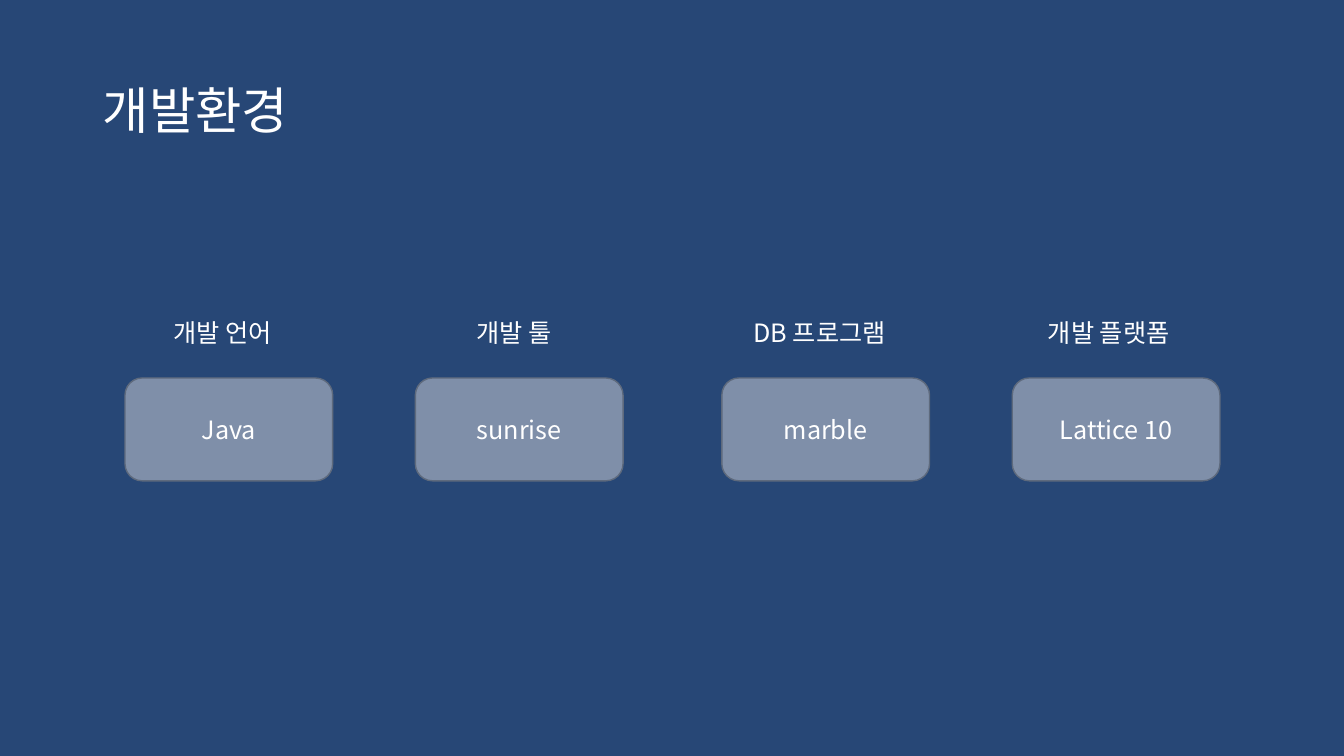
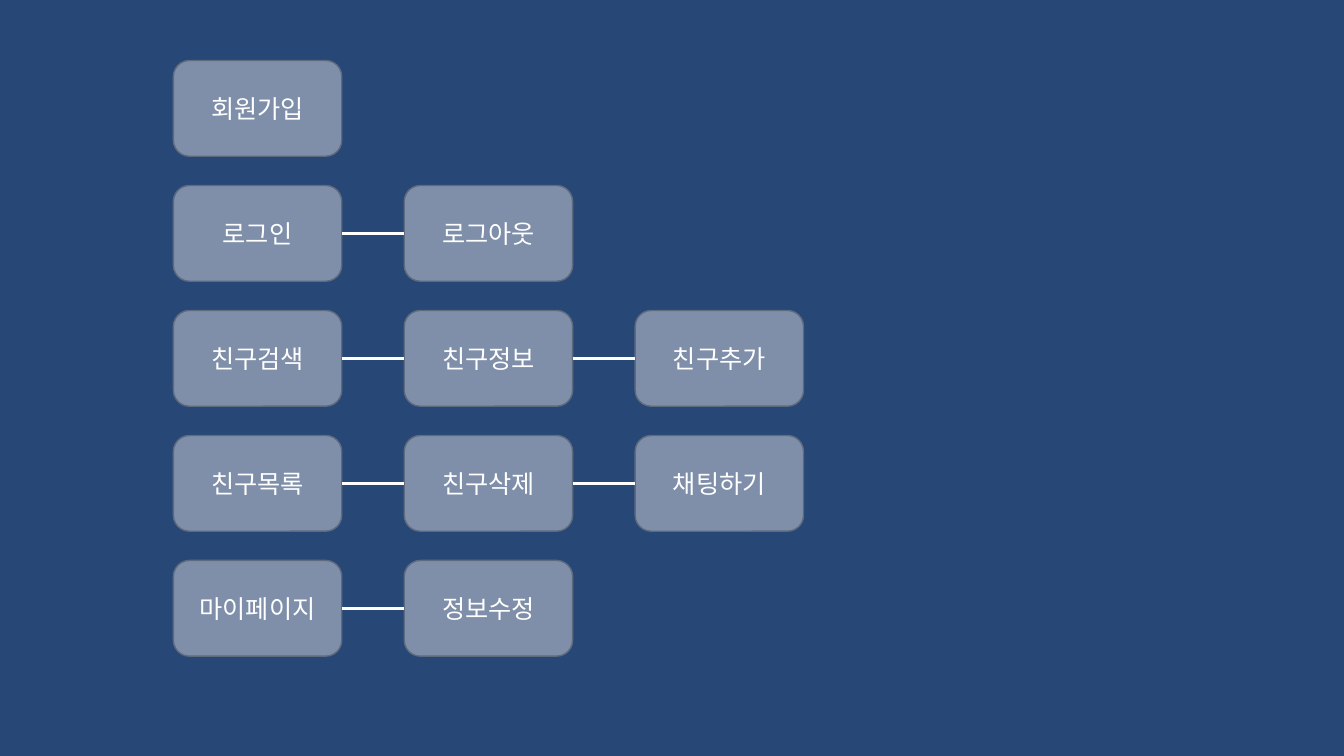
from dataclasses import dataclass

from lxml.etree import SubElement
from pptx import Presentation
from pptx.dml.color import RGBColor
from pptx.enum.shapes import MSO_CONNECTOR, MSO_SHAPE
from pptx.enum.text import MSO_ANCHOR, MSO_AUTO_SIZE, PP_ALIGN
from pptx.oxml.ns import qn
from pptx.util import Inches, Pt


@dataclass(frozen=True)
class Theme:
    background: RGBColor = RGBColor.from_string("274776")
    card: RGBColor = RGBColor.from_string("7F8FA9")
    card_edge: RGBColor = RGBColor.from_string("5E6A7D")
    ink: RGBColor = RGBColor.from_string("FFFFFF")
    font: str = "Noto Sans CJK KR"
    title_size: int = 36
    body_size: int = 18
    edge_width: float = 1
    link_width: float = 2.25


@dataclass(frozen=True)
class Box:
    left: float
    top: float
    width: float
    height: float

    def inches(self):
        return [Inches(n) for n in (self.left, self.top, self.width, self.height)]


THEME = Theme()
SLIDE_WIDTH, SLIDE_HEIGHT = 13.33, 7.5
TITLE_ONLY, BLANK = 5, 6
LEFT_SITE, RIGHT_SITE = 1, 3

TITLE_BOX = Box(0.92, 0.4, 11.5, 1.45)
ENVIRONMENT_BOX = Box(1.24, 3.1, 10.86, 1.67)
FEATURES_BOX = Box(1.72, 0.6, 6.25, 5.91)

# Heading, heading width, choice
ENVIRONMENT = [
    ("개발 언어", 1.3, "Java"),
    ("개발 툴", 1.05, "sunrise"),
    ("DB 프로그램", 1.63, "marble"),
    ("개발 플랫폼", 1.55, "Lattice 10"),
]
FEATURES = [
    ["회원가입"],
    ["로그인", "로그아웃"],
    ["친구검색", "친구정보", "친구추가"],
    ["친구목록", "친구삭제", "채팅하기"],
    ["마이페이지", "정보수정"],
]


def add_run(paragraph, text, size):
    run = paragraph.add_run()
    run.text = text
    run.font.size = Pt(size)
    run.font.color.rgb = THEME.ink
    run.font.name = THEME.font
    SubElement(run.font._element, qn("a:ea"), typeface=THEME.font)


def add_title(slide, text, box):
    title = slide.shapes.title
    title.left, title.top, title.width, title.height = box.inches()
    title.text_frame.vertical_anchor = MSO_ANCHOR.MIDDLE
    paragraph = title.text_frame.paragraphs[0]
    paragraph.alignment = PP_ALIGN.LEFT
    paragraph.line_spacing = 0.9
    add_run(paragraph, text, THEME.title_size)


def add_card(slide, text, box):
    card = slide.shapes.add_shape(MSO_SHAPE.ROUNDED_RECTANGLE, *box.inches())
    card.shadow.inherit = False
    card.fill.solid()
    card.fill.fore_color.rgb = THEME.card
    card.line.color.rgb = THEME.card_edge
    card.line.width = Pt(THEME.edge_width)
    card.text_frame.vertical_anchor = MSO_ANCHOR.MIDDLE
    paragraph = card.text_frame.paragraphs[0]
    paragraph.alignment = PP_ALIGN.CENTER
    add_run(paragraph, text, THEME.body_size)
    return card


def add_heading(slide, text, box):
    heading = slide.shapes.add_textbox(*box.inches())
    heading.text_frame.word_wrap = False
    heading.text_frame.auto_size = MSO_AUTO_SIZE.SHAPE_TO_FIT_TEXT
    add_run(heading.text_frame.paragraphs[0], text, THEME.body_size)


def link_cards(slide, start, end):
    link = slide.shapes.add_connector(MSO_CONNECTOR.STRAIGHT, 0, 0, 0, 0)
    link.begin_connect(start, RIGHT_SITE)
    link.end_connect(end, LEFT_SITE)
    link.line.color.rgb = THEME.ink
    link.line.width = Pt(THEME.link_width)
    SubElement(link._element.spPr, qn("a:effectLst"))


def add_environment(slide, box):
    """Two pairs of headed cards, one pair at each end of the box."""
    card_width, card_height, heading_height = 2.06, 1.02, 0.4
    pair_step = 2.88
    half_step = box.width - card_width - pair_step
    card_top = box.top + box.height - card_height
    for index, (heading, heading_width, choice) in enumerate(ENVIRONMENT):
        half, place = divmod(index, 2)
        left = box.left + half * half_step + place * pair_step
        add_card(slide, choice, Box(left, card_top, card_width, card_height))
        heading_left = left + (card_width - heading_width) / 2
        add_heading(slide, heading,
                    Box(heading_left, box.top, heading_width, heading_height))


def add_features(slide, box):
    """Rows of cards on an even grid, each card linked to the one before."""
    card_width, card_height = 1.67, 0.95
    column_step = (box.width - card_width) / (max(map(len, FEATURES)) - 1)
    row_step = (box.height - card_height) / (len(FEATURES) - 1)
    for row, names in enumerate(FEATURES):
        top = box.top + row * row_step
        cards = [
            add_card(slide, name, Box(box.left + column * column_step, top,
                                      card_width, card_height))
            for column, name in enumerate(names)
        ]
        for start, end in zip(cards, cards[1:]):
            link_cards(slide, start, end)


def main():
    deck = Presentation()
    deck.slide_width, deck.slide_height = Inches(SLIDE_WIDTH), Inches(SLIDE_HEIGHT)
    backdrop = deck.slide_master.background.fill
    backdrop.solid()
    backdrop.fore_color.rgb = THEME.background

    environment = deck.slides.add_slide(deck.slide_layouts[TITLE_ONLY])
    add_title(environment, "개발환경", TITLE_BOX)
    add_environment(environment, ENVIRONMENT_BOX)

    features = deck.slides.add_slide(deck.slide_layouts[BLANK])
    add_features(features, FEATURES_BOX)

    deck.save("out.pptx")


if __name__ == "__main__":
    main()
